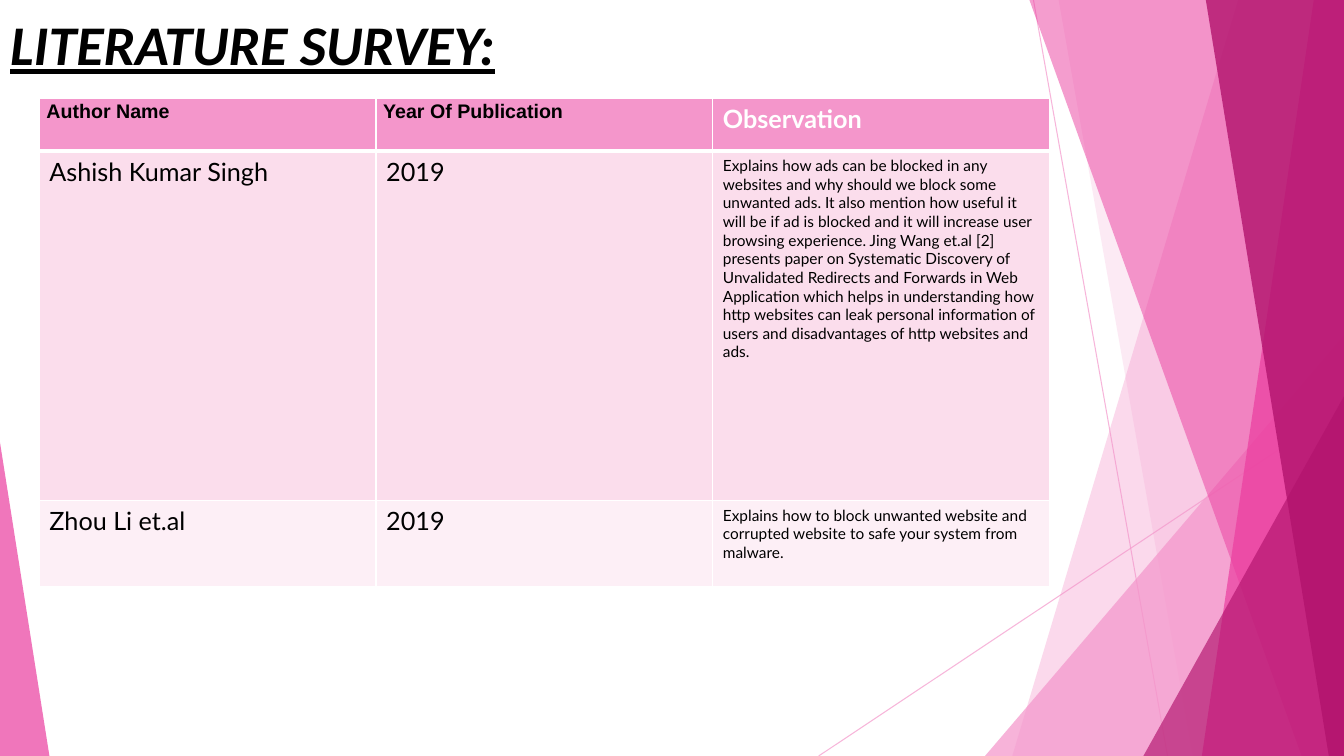
"""Build the literature survey slide with its pink facets and table."""
import pptx
import pptx.dml.color
import pptx.enum.shapes
import pptx.enum.text
import pptx.oxml
import pptx.oxml.ns
import pptx.util
from lxml import etree

Inches = pptx.util.Inches
Pt = pptx.util.Pt
Shapes = pptx.enum.shapes.MSO_SHAPE
qn = pptx.oxml.ns.qn

PINK, ROSE, WINE = "F496CB", "EB3D9F", "B2136D"
BLACK, WHITE = "000000", "FFFFFF"


def hue(code):
    return pptx.dml.color.RGBColor.from_string(code)


def fade(shape, alpha):
    for mark in shape._element.spPr.iter(qn("a:srgbClr")):
        etree.SubElement(mark, qn("a:alpha"), val=str(alpha * 1000))


def write(frame, text, size=18, font="Lato", color=BLACK, bold=False,
          slant=False, under=False, space=None, after=0):
    para = frame.paragraphs[0]
    para.alignment = pptx.enum.text.PP_ALIGN.LEFT
    para.line_spacing = space
    para.space_before = Pt(0)
    para.space_after = Pt(after)
    run = para.add_run()
    run.text = text
    face = run.font
    face.size, face.name = Pt(size), font
    face.bold, face.italic, face.underline = bold, slant, under
    face.color.rgb = hue(color)


class Deck:
    def __init__(self):
        self.show = pptx.Presentation()
        self.show.slide_width = Inches(13.33)
        self.show.slide_height = Inches(7.5)
        self.slide = self.show.slides.add_slide(self.show.slide_layouts[5])
        self.shapes = self.slide.shapes

    def title(self, text, box):
        head = self.shapes.title
        head.left, head.top, head.width, head.height = map(Inches, box)
        frame = head.text_frame
        frame.word_wrap = True
        frame.auto_size = pptx.enum.text.MSO_AUTO_SIZE.NONE
        frame.vertical_anchor = pptx.enum.text.MSO_ANCHOR.TOP
        write(frame, text, size=40, font="Calibri", bold=True, slant=True,
              under=True, space=1.07, after=8)

    def line(self, *ends):
        kind = pptx.enum.shapes.MSO_CONNECTOR.STRAIGHT
        line = self.shapes.add_connector(kind, *map(Inches, ends))
        line.line.color.rgb = hue(PINK)
        line.line.width = Pt(0.75)
        fade(line, 70)
        etree.SubElement(line._element.spPr, qn("a:effectLst"))

    def paint(self, shape, color, alpha):
        shape.shadow.inherit = False
        shape.fill.solid()
        shape.fill.fore_color.rgb = hue(color)
        shape.line.fill.background()
        fade(shape, alpha)

    def facet(self, top, base, color, alpha):
        right, foot = self.show.slide_width, self.show.slide_height
        form = self.shapes.build_freeform(Inches(top), 0)
        form.add_line_segments([(right, 0), (right, foot), (Inches(base), foot)])
        self.paint(form.convert_to_shape(), color, alpha)

    def wedge(self, box, tip, color, alpha):
        shape = self.shapes.add_shape(Shapes.ISOSCELES_TRIANGLE, *map(Inches, box))
        shape.adjustments[0] = tip
        self.paint(shape, color, alpha)

    def edge(self, cell, side, width):
        line = etree.SubElement(cell._tc.get_or_add_tcPr(), qn("a:ln" + side),
                                w=str(Pt(width)))
        fill = etree.SubElement(line, qn("a:solidFill"))
        etree.SubElement(fill, qn("a:srgbClr"), val=WHITE)

    def cell(self, cell, text, fill, top=1, base=1, tight=False, **style):
        for side, width in zip("LRTB", (1, 1, top, base)):
            self.edge(cell, side, width)
        cell.fill.solid()
        cell.fill.fore_color.rgb = hue(fill)
        if tight:
            cell.margin_left = cell.margin_right = Inches(0.07)
            cell.margin_top = cell.margin_bottom = 0
        write(cell.text_frame, text, **style)

    def table(self, spot, wide, highs, fills, rows):
        frame = self.shapes.add_table(len(rows), len(rows[0]), *map(Inches, spot),
                                      Inches(wide * len(rows[0])), Inches(sum(highs)))
        grid = frame.table
        for col in grid.columns:
            col.width = Inches(wide)
        for r, (high, fill, row) in enumerate(zip(highs, fills, rows)):
            grid.rows[r].height = Inches(high)
            for c, text in enumerate(row):
                last = c == len(row) - 1
                if r:
                    style = dict(size=11 if last else 18, top=3 if r == 1 else 1)
                elif last:
                    style = dict(color=WHITE, bold=True, base=3)
                else:
                    style = dict(size=14, font="Arial", bold=True, space=1.07,
                                 after=8, base=3, tight=True)
                self.cell(grid.cell(r, c), text, fill, **style)


def main():
    deck = Deck()
    deck.line(10.25, 0, 11.58, 7.5)
    deck.line(13.33, 4.03, 8.12, 7.5)
    deck.facet(12.28, 10.04, PINK, 36)
    deck.facet(10.5, 11.83, PINK, 20)
    deck.wedge((9.77, 3.33, 3.56, 4.17), 1, PINK, 72)
    deck.facet(10.21, 12.91, ROSE, 50)
    deck.facet(13.03, 11.92, ROSE, 70)
    deck.facet(11.96, 13.18, WINE, 80)
    deck.wedge((11.34, 3.93, 1.99, 3.57), 1, WINE, 66)
    deck.wedge((0, 4.39, 0.49, 3.11), 0, ROSE, 70)
    deck.table((0.39, 0.98), 3.34, (0.52, 3.47, 0.85), (PINK, "FBDDEC", "FDEFF6"), [
        ("Author Name", "Year Of Publication", "Observation"),
        ("Ashish Kumar Singh", "2019",
         "Explains how ads can be blocked in any websites and why should we block "
         "some unwanted ads. It also mention how useful it will be if ad is blocked "
         "and it will increase user browsing experience. Jing Wang et.al [2] presents "
         "paper on Systematic Discovery of Unvalidated Redirects and Forwards in Web "
         "Application which helps in understanding how http websites can leak personal "
         "information of users and disadvantages of http websites and ads."),
        ("Zhou Li et.al", "2019",
         "Explains how to block unwanted website and corrupted website to safe your "
         "system from malware."),
    ])
    deck.title("LITERATURE SURVEY:", (0, 0, 10.01, 0.79))
    deck.show.save("out.pptx")


if __name__ == "__main__":
    main()
